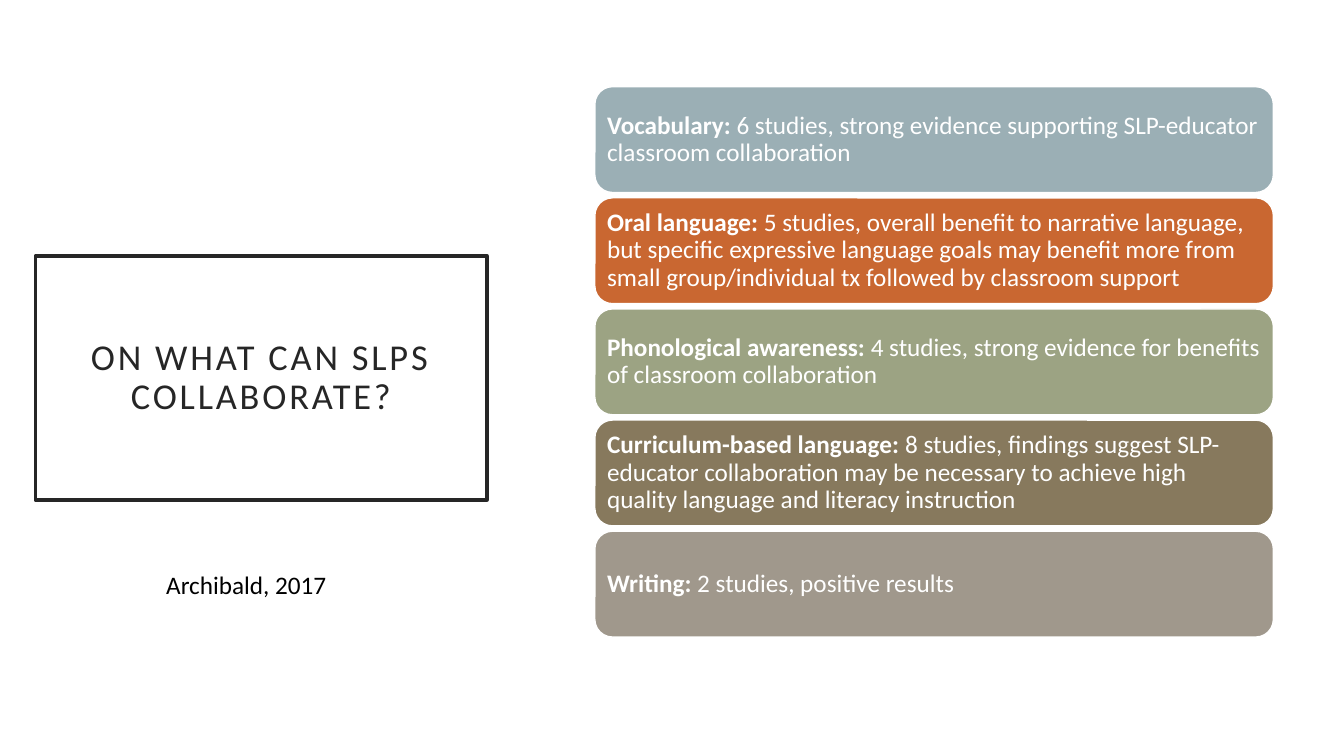
import dataclasses

import pptx
import pptx.dml.color
import pptx.enum.shapes
import pptx.enum.text
import pptx.util

Inches = pptx.util.Inches
Pt = pptx.util.Pt
Color = pptx.dml.color.RGBColor.from_string
Align = pptx.enum.text.PP_ALIGN
Anchor = pptx.enum.text.MSO_ANCHOR


@dataclasses.dataclass(frozen=True)
class Theme:
    font: str = "Calibri"
    title_size: int = 26
    body_size: int = 18
    white: str = "FFFFFF"
    black: str = "000000"
    ink: str = "262626"
    cards: tuple = ("9BAFB5", "C96731", "9CA383", "87795D", "A0988C")


THEME = Theme()

FINDINGS = [
    ("Vocabulary: ",
     "6 studies, strong evidence supporting SLP-educator classroom collaboration"),
    ("Oral language: ",
     "5 studies, overall benefit to narrative language, but specific expressive language "
     "goals may benefit more from small group/individual tx followed by classroom support"),
    ("Phonological awareness: ",
     "4 studies, strong evidence for benefits of classroom collaboration"),
    ("Curriculum-based language: ",
     "8 studies, findings suggest SLP-educator collaboration may be necessary to achieve "
     "high quality language and literacy instruction"),
    ("Writing: ", "2 studies, positive results"),
]


def paint(shape, fill, line, width):
    shape.fill.solid()
    shape.fill.fore_color.rgb = Color(fill)
    shape.line.color.rgb = Color(line)
    shape.line.width = Pt(width)


def set_font(para, size, color):
    para.font.name = THEME.font
    para.font.size = Pt(size)
    para.font.color.rgb = Color(color)


def set_frame(frame, margin):
    frame.word_wrap = True
    frame.auto_size = pptx.enum.text.MSO_AUTO_SIZE.NONE
    frame.vertical_anchor = Anchor.MIDDLE
    frame.margin_left = frame.margin_right = Inches(margin)
    frame.margin_top = frame.margin_bottom = Inches(margin)


def add_title(page, left, top, width, height):
    title = page.shapes.title
    title.left, title.top = Inches(left), Inches(top)
    title.width, title.height = Inches(width), Inches(height)
    paint(title, THEME.white, THEME.ink, 2.5)
    set_frame(title.text_frame, 0.2)
    para = title.text_frame.paragraphs[0]
    span = para.add_run()
    span.text = "ON WHAT CAN SLPS COLLABORATE?"
    span._r.get_or_add_rPr().set("spc", "200")
    para.alignment = Align.CENTER
    para.line_spacing = 0.9
    set_font(para, THEME.title_size, THEME.ink)


def add_findings(page, left, top, width, height):
    card_height = 1.05
    pitch = (height - card_height) / (len(FINDINGS) - 1)
    for index, ((topic, finding), color) in enumerate(zip(FINDINGS, THEME.cards)):
        card = page.shapes.add_shape(
            pptx.enum.shapes.MSO_SHAPE.ROUNDED_RECTANGLE,
            Inches(left), Inches(top + index * pitch), Inches(width), Inches(card_height))
        card.shadow.inherit = False
        paint(card, color, THEME.white, 1)
        set_frame(card.text_frame, 0.07)
        para = card.text_frame.paragraphs[0]
        para.alignment = Align.LEFT
        para.line_spacing = 0.9
        set_font(para, THEME.body_size, THEME.white)
        for words, bold in ((topic, True), (finding, False)):
            span = para.add_run()
            span.text = words
            span.font.bold = bold


def add_citation(page, left, top, width, height):
    box = page.shapes.add_textbox(Inches(left), Inches(top), Inches(width), Inches(height))
    box.text_frame.word_wrap = True
    para = box.text_frame.paragraphs[0]
    para.text = "Archibald, 2017"
    set_font(para, THEME.body_size, THEME.black)


def main():
    deck = pptx.Presentation()
    deck.slide_width, deck.slide_height = Inches(13.33), Inches(7.5)
    page = deck.slides.add_slide(deck.slide_layouts.get_by_name("Title Only"))
    add_title(page, 0.35, 2.54, 4.48, 2.42)
    add_findings(page, 5.9, 0.86, 6.73, 5.46)
    add_citation(page, 1.55, 5.6, 2.08, 0.4)
    deck.save("out.pptx")


if __name__ == "__main__":
    main()
